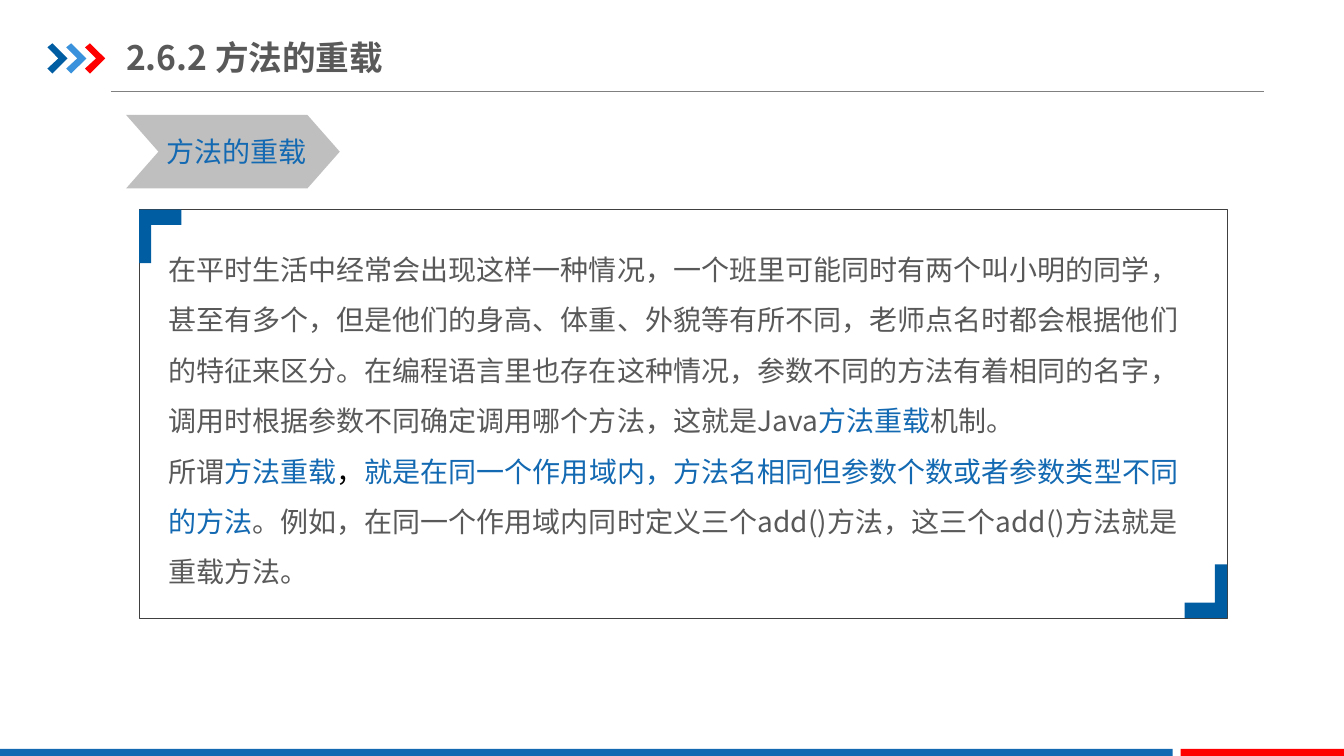
from lxml import etree
from pptx import Presentation
from pptx.dml.color import RGBColor
from pptx.enum.shapes import MSO_CONNECTOR, MSO_SHAPE
from pptx.enum.text import MSO_ANCHOR, PP_ALIGN
from pptx.oxml.ns import qn
from pptx.util import Inches, Pt

RECT = MSO_SHAPE.RECTANGLE
CHEVRON = MSO_SHAPE.CHEVRON
STRAIGHT = MSO_CONNECTOR.STRAIGHT
MIDDLE = MSO_ANCHOR.MIDDLE
LEFT = PP_ALIGN.LEFT

NAVY = RGBColor(0x00, 0x5D, 0xA2)
SKY = RGBColor(0x39, 0x92, 0xDB)
BLUE = RGBColor(0x13, 0x69, 0xB2)
RED = RGBColor(0xFF, 0x00, 0x00)
INK = RGBColor(0x59, 0x59, 0x59)
BLACK = RGBColor(0x00, 0x00, 0x00)
SILVER = RGBColor(0xBF, 0xBF, 0xBF)
GRAY = RGBColor(0x80, 0x80, 0x80)
DARK = RGBColor(0x40, 0x40, 0x40)
FONT = "Noto Sans CJK SC"

deck = Presentation()
deck.slide_width = Inches(13.33)
deck.slide_height = Inches(7.5)
COL = deck.slide_width / 100
ROW = deck.slide_height / 100
slide = deck.slides.add_slide(deck.slide_layouts[5])
shapes = slide.shapes


def grid(*parts):
    return [round(part * (ROW if i % 2 else COL)) for i, part in enumerate(parts)]


def draw(points, color):
    dots = [grid(*point) for point in points]
    pen = shapes.build_freeform(*dots[0])
    pen.add_line_segments(dots[1:], close=True)
    form = pen.convert_to_shape()
    form.shadow.inherit = False
    form.fill.solid()
    form.fill.fore_color.rgb = color
    form.line.fill.background()


rule = shapes.add_connector(STRAIGHT, *grid(8.25, 12.13, 94.07, 12.13))
rule.line.color.rgb = GRAY
rule.line.width = Pt(0.75)
etree.SubElement(rule._element.spPr, qn("a:effectLst"))

ARROW = [(0, 6.27), (0.37, 5.73), (1.5, 7.73), (0.37, 9.73), (0, 9.07), (0.82, 7.73)]
for i, color in enumerate((NAVY, SKY, RED)):
    draw([(3.53 + 1.4 * i + x, y) for x, y in ARROW], color)

for kind, place, color in (
    (RECT, (0, 99.07, 87.25, 0.93), BLUE),
    (RECT, (87.85, 99.07, 12.15, 0.93), RED),
    (CHEVRON, (9.38, 15.2, 15.9, 9.73), SILVER),
):
    block = shapes.add_shape(kind, *grid(*place))
    block.shadow.inherit = False
    block.fill.solid()
    block.fill.fore_color.rgb = color
    block.line.fill.background()
block.adjustments[0] = 0.44

title = shapes.title
spot = dict(zip(("left", "top", "width", "height"), grid(9.38, 3.87, 31.96, 7.33)))
for name, value in spot.items():
    setattr(title, name, value)
head = title.text_frame
style = {"margin_left": 0, "margin_right": 0, "vertical_anchor": MIDDLE, "word_wrap": True}
for name, value in style.items():
    setattr(head, name, value)

label = shapes.add_textbox(*grid(11.63, 17.2, 11.93, 5.87)).text_frame
label.word_wrap = False
body = shapes.add_textbox(*grid(11.78, 30.53, 78.09, 48.4)).text_frame
body.word_wrap = True
first, second = body.paragraphs[0], body.add_paragraph()
first.line_spacing = second.line_spacing = 1.5

TEXTS = (
    (head.paragraphs[0], 24, True, [("2.6.2 方法的重载", INK)]),
    (label.paragraphs[0], 20, False, [("方法的重载", BLUE)]),
    (first, 20, False, [
        ("在平时生活中经常会出现这样一种情况，一个班里可能同时有两个叫小明的同学，"
         "甚至有多个，但是他们的身高、体重、外貌等有所不同，老师点名时都会根据他们"
         "的特征来区分。在编程语言里也存在这种情况，参数不同的方法有着相同的名字，"
         "调用时根据参数不同确定调用哪个方法，这就是Java", INK),
        ("方法重载", BLUE),
        ("机制。", INK),
    ]),
    (second, 20, False, [
        ("所谓", INK),
        ("方法重载", BLUE),
        ("，", BLACK),
        ("就是在同一个作用域内，方法名相同但参数个数或者参数类型不同的方法", BLUE),
        ("。例如，在同一个作用域内同时定义三个add()方法，这三个add()方法就是重载方法。", INK),
    ]),
)
for para, size, bold, runs in TEXTS:
    para.alignment = LEFT
    for text, color in runs:
        run = para.add_run()
        run.text = text
        run.font.color.rgb = color
        for name, value in {"size": Pt(size), "bold": bold, "name": FONT}.items():
            setattr(run.font, name, value)
        etree.SubElement(run.font._element, qn("a:ea"), typeface=FONT)

frame = shapes.add_shape(RECT, *grid(10.35, 27.73, 80.95, 54))
frame.shadow.inherit = False
frame.fill.background()
frame.line.color.rgb = DARK
frame.line.width = Pt(0.25)

HOOK = [(0, 0), (3.15, 0), (3.15, 2), (0.9, 2), (0.9, 7.07), (0, 7.07)]
for left, top, turn in ((10.35, 27.73, 1), (91.3, 81.73, -1)):
    draw([(left + turn * x, top + turn * y) for x, y in HOOK], NAVY)

deck.save("out.pptx")
